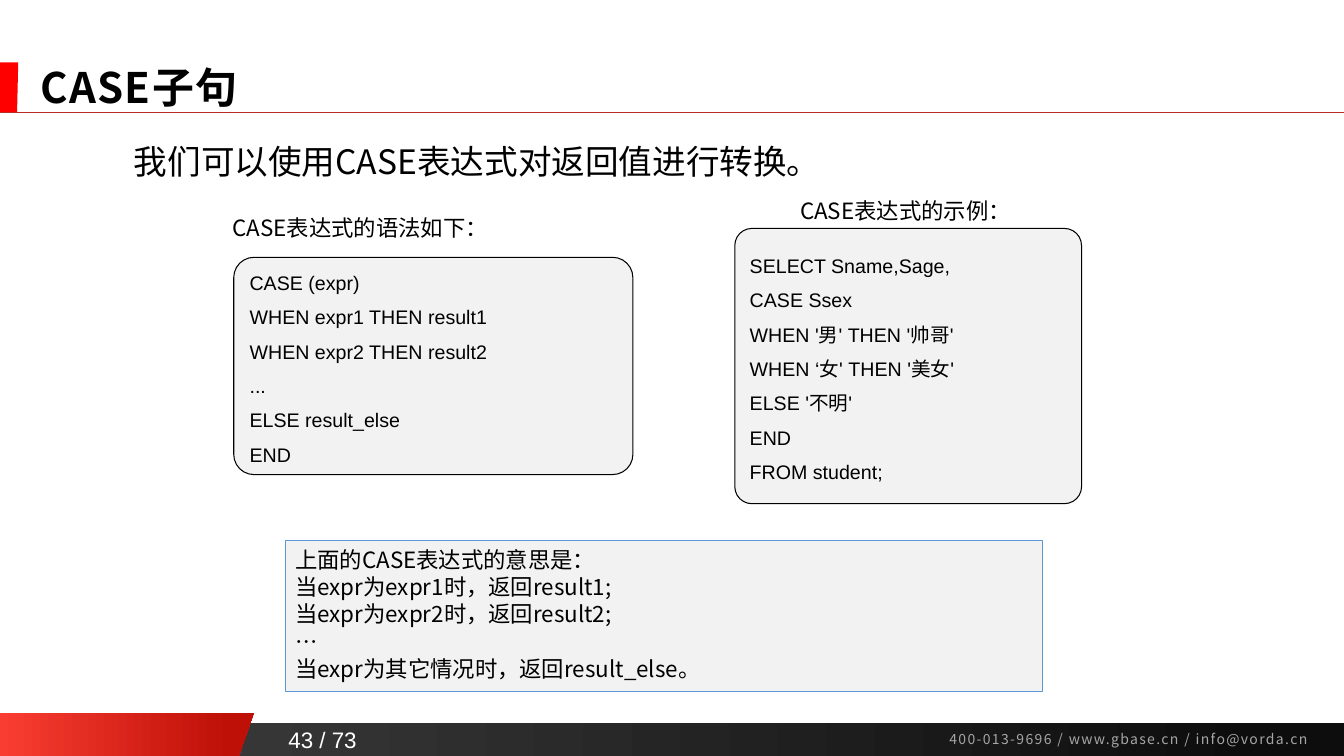
from dataclasses import dataclass

from lxml import etree
from pptx import Presentation
from pptx import util as u
from pptx.dml import color
from pptx.enum import shapes, text
from pptx.oxml import ns

COLORS = {
    "black": "000000", "white": "FFFFFF", "panel": "F2F2F2", "blue": "5B9BD5",
    "red": "FF0000", "rule": "B82E24", "contact": "A6A6A6",
    "bar_start": "404040", "bar_end": "0D0D0D",
    "flag_start": "F93D32", "flag_end": "BE1007",
}
SANS, CODE = "Noto Sans CJK SC", "Arial"
WIDTH, HEIGHT = 960, 540
LINE_RATIO = 1.22


@dataclass
class Area:
    left: float
    top: float
    width: float
    height: float

    def lengths(self):
        return [u.Pt(n) for n in (self.left, self.top, self.width, self.height)]


@dataclass
class Label:
    area: Area
    words: str
    size: float
    wrap: bool = False


@dataclass
class CodePanel:
    area: Area
    corner: float
    lines: list[str]


@dataclass
class Flag:
    points: list[tuple[float, float]]
    fills: list[str]


def rgb(name: str) -> color.RGBColor:
    return color.RGBColor.from_string(COLORS[name])


def paint(shape, fills: list[str], ends: tuple[float, float] = (0, 1)) -> None:
    """Fill a shape with one colour or a horizontal gradient of two."""
    shape.shadow.inherit = False
    shape.line.fill.background()
    if len(fills) == 1:
        shape.fill.solid()
        shape.fill.fore_color.rgb = rgb(fills[0])
        return
    shape.fill.gradient()
    shape.fill.gradient_angle = 0
    for stop, name, end in zip(shape.fill.gradient_stops, fills, ends):
        stop.color.rgb = rgb(name)
        stop.position = end


def write(box, words: str, *, size: float, font: str = SANS, ink: str = "black",
          bold: bool = False, tracking: float = 0, before: float = 0,
          spacing: float | None = None, wrap: bool = True,
          align=text.PP_ALIGN.LEFT, anchor=text.MSO_ANCHOR.TOP,
          bottom: float = 3.6) -> None:
    frame = box.text_frame
    frame.word_wrap = wrap
    frame.vertical_anchor = anchor
    frame.margin_left = frame.margin_right = u.Pt(7.2)
    frame.margin_top, frame.margin_bottom = u.Pt(3.6), u.Pt(bottom)
    for index, line in enumerate(words.split("\n")):
        para = frame.add_paragraph() if index else frame.paragraphs[0]
        para.alignment = align
        para.space_before = u.Pt(before if index else 0)
        if spacing:
            para.line_spacing = u.Pt(spacing)
        span = para.add_run()
        span.text = line
        span.font.size, span.font.name, span.font.bold = u.Pt(size), font, bold
        span.font.color.rgb = rgb(ink)
        properties = span.font._element
        etree.SubElement(properties, ns.qn("a:ea")).set("typeface", font)
        if tracking:
            properties.set("spc", str(round(tracking * 100)))


def add_panel(page, area: Area, kind, edge: str, weight: float):
    panel = page.shapes.add_shape(kind, *area.lengths())
    paint(panel, ["panel"])
    panel.line.color.rgb = rgb(edge)
    panel.line.width = u.Pt(weight)
    return panel


def add_flag(page, flag: Flag) -> None:
    corners = [(u.Pt(x), u.Pt(y)) for x, y in flag.points]
    builder = page.shapes.build_freeform(*corners[0])
    builder.add_line_segments(corners[1:], close=True)
    paint(builder.convert_to_shape(), flag.fills, (0, 0.91))


def add_rule(page, y: float) -> None:
    rule = page.shapes.add_connector(
        shapes.MSO_CONNECTOR.STRAIGHT, 0, u.Pt(y), u.Pt(WIDTH), u.Pt(y))
    rule.line.color.rgb = rgb("rule")
    rule.line.width = u.Pt(0.5)
    etree.SubElement(rule._element.spPr, ns.qn("a:effectLst"))


FLAGS = [
    Flag([(0, 509), (181.4, 509), (170.6, 540), (0, 540)], ["flag_start", "flag_end"]),
    Flag([(0, 44.6), (13, 44.6), (12.2, 80.3), (0, 80.3)], ["red"]),
]
LABELS = [
    Label(Area(88.6, 96.5, 511.2, 36.7), "我们可以使用CASE表达式对返回值进行转换。", 24),
    Label(Area(564.5, 136.8, 168.5, 26.6), "CASE表达式的示例：", 16),
    Label(Area(159.1, 149.4, 301.7, 28.1), "CASE表达式的语法如下：", 16, True),
]
PANELS = [
    CodePanel(Area(167, 183.8, 285.1, 155.2), 0.093, [
        "CASE (expr)", "WHEN expr1 THEN result1", "WHEN expr2 THEN result2",
        "...", "ELSE result_else", "END"]),
    CodePanel(Area(524.9, 163.2, 247.7, 196.6), 0.062, [
        "SELECT Sname,Sage,", "CASE Ssex", "WHEN '男' THEN '帅哥'",
        "WHEN ‘女' THEN '美女'", "ELSE '不明'", "END", "FROM student;"]),
]
MEANING = """上面的CASE表达式的意思是：
当expr为expr1时，返回result1;
当expr为expr2时，返回result2;
…
当expr为其它情况时，返回result_else。"""


def main() -> None:
    deck = Presentation()
    deck.slide_width, deck.slide_height = u.Pt(WIDTH), u.Pt(HEIGHT)
    page = deck.slides.add_slide(deck.slide_layouts[6])

    # Footer bar, red flags and title rule
    bar = page.shapes.add_shape(
        shapes.MSO_SHAPE.RECTANGLE, *Area(0, 516.2, WIDTH, 23.8).lengths())
    paint(bar, ["bar_start", "bar_end"], (0, 0.94))
    for flag in FLAGS:
        add_flag(page, flag)
    add_rule(page, 80)

    # Footer text
    number = page.shapes.add_textbox(*Area(197.3, 514.8, 66.2, 26.6).lengths())
    write(number, "43 / 73", size=16, font=CODE, ink="white", wrap=False,
          align=text.PP_ALIGN.CENTER, anchor=text.MSO_ANCHOR.BOTTOM)
    contact = page.shapes.add_textbox(*Area(671, 518.4, 287.3, 19.4).lengths())
    write(contact, "400-013-9696 / www.gbase.cn / info@vorda.cn", size=10,
          ink="contact", tracking=1, spacing=10 * LINE_RATIO)

    # Title
    title = page.shapes.add_textbox(*Area(21.6, 42.5, 882.7, 38.2).lengths())
    write(title, "CASE子句", size=30, bold=True, tracking=1,
          spacing=30 * LINE_RATIO, anchor=text.MSO_ANCHOR.MIDDLE)

    # Code panels
    for panel in PANELS:
        box = add_panel(page, panel.area, shapes.MSO_SHAPE.ROUNDED_RECTANGLE, "black", 0.75)
        box.adjustments[0] = panel.corner
        write(box, "\n".join(panel.lines), size=14, font=CODE, before=7.75,
              anchor=text.MSO_ANCHOR.MIDDLE, bottom=0)

    # Headings and the explanation
    for label in LABELS:
        box = page.shapes.add_textbox(*label.area.lengths())
        write(box, label.words, size=label.size, wrap=label.wrap,
              spacing=label.size * LINE_RATIO)
    meaning = add_panel(page, Area(203.8, 385.9, 540.7, 108),
                        shapes.MSO_SHAPE.RECTANGLE, "blue", 1)
    write(meaning, MEANING, size=16, spacing=16 * LINE_RATIO)

    deck.save("out.pptx")


if __name__ == "__main__":
    main()
